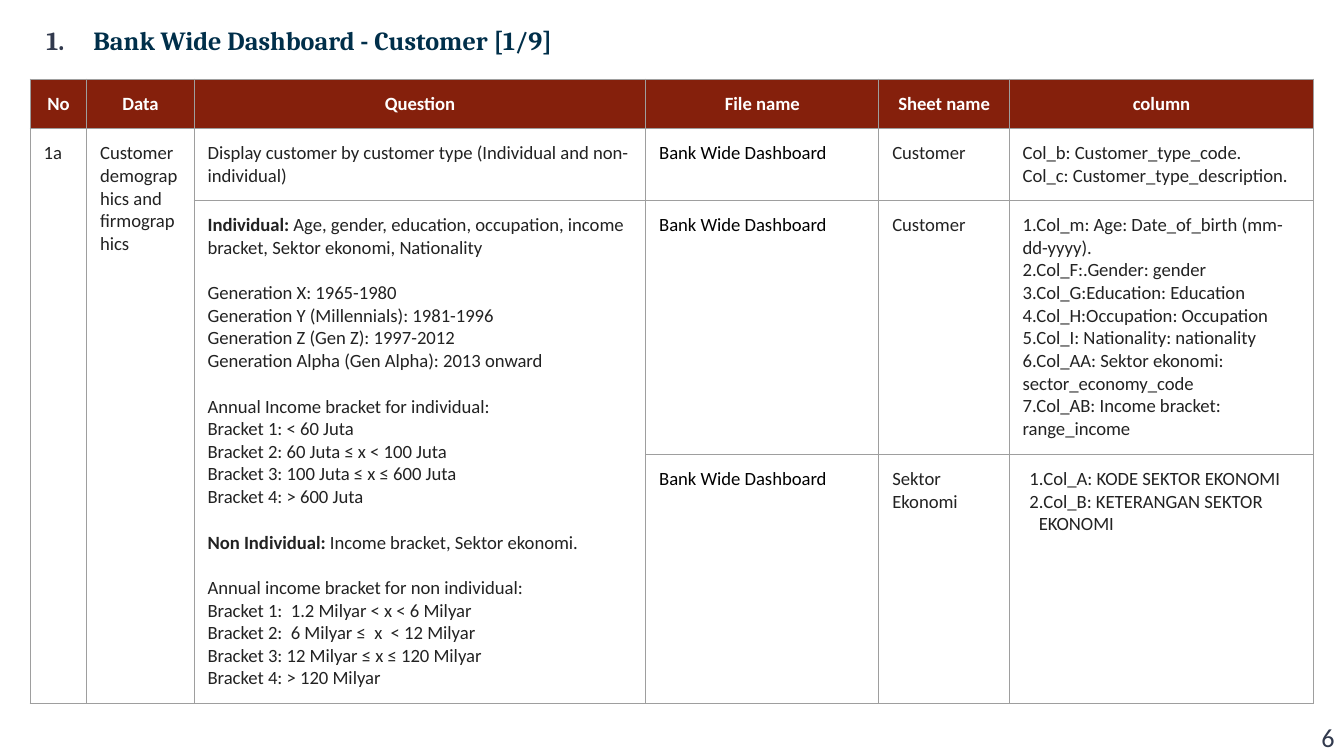
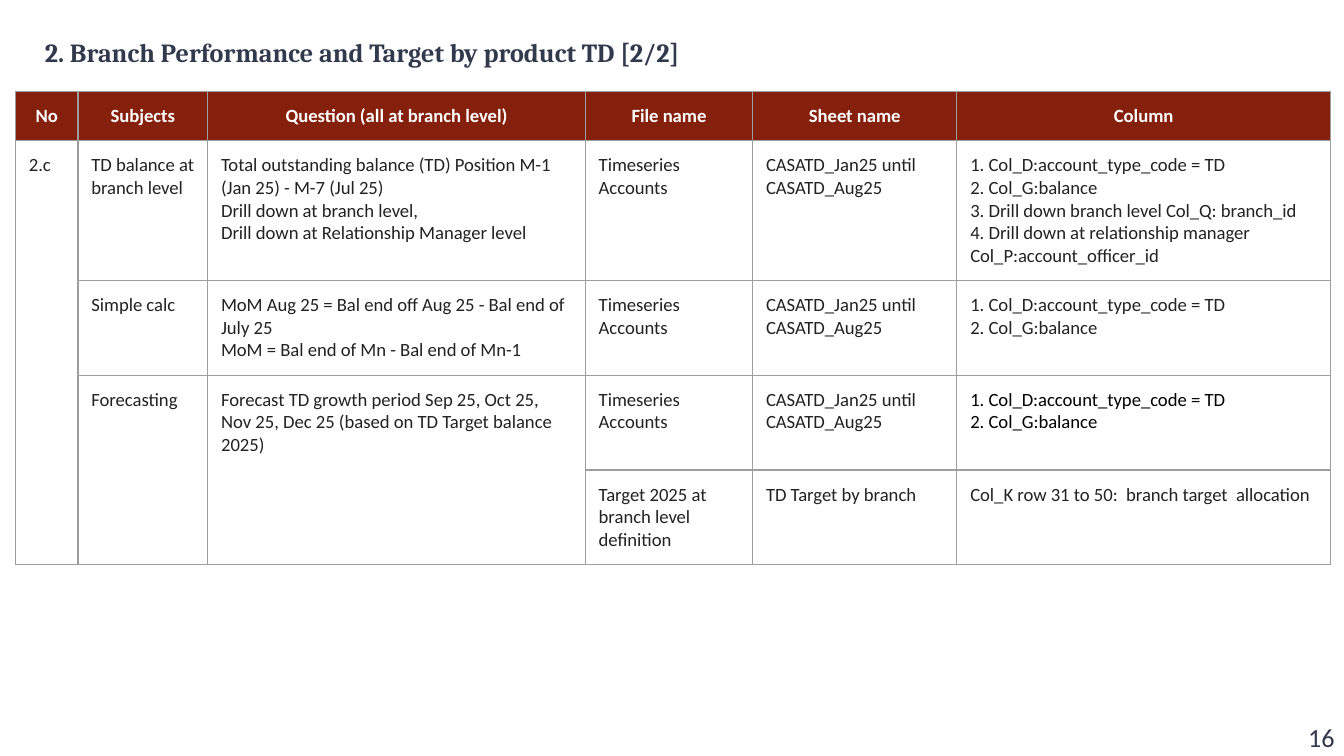
from lxml import etree
from pptx import Presentation
from pptx import util as u
from pptx.dml.color import RGBColor
from pptx.enum import text as t
from pptx.oxml import ns

COLORS = {
    "navy": "002F4A", "slate": "31394D", "header": "85200C", "white": "FFFFFF",
    "body": "222222", "black": "000000", "border": "9E9E9E",
}
GRID_COLUMNS, GRID_ROWS = 1000, 562.5
CELL = u.Inches(10) // GRID_COLUMNS
CELL_MARGIN = 10
LINE_GAP = u.Pt(12.2)

CUSTOMER_HEADERS = ["No", "Data", "Question", "File name", "Sheet name", "column"]
CUSTOMER_QUESTION = """**Individual:** Age, gender, education, occupation, income bracket, Sektor ekonomi, Nationality

Generation X: 1965-1980
Generation Y (Millennials): 1981-1996
Generation Z (Gen Z): 1997-2012
Generation Alpha (Gen Alpha): 2013 onward

Annual Income bracket for individual:
Bracket 1: < 60 Juta
Bracket 2: 60 Juta ≤ x < 100 Juta
Bracket 3: 100 Juta ≤ x ≤ 600 Juta
Bracket 4: > 600 Juta

**Non Individual:** Income bracket, Sektor ekonomi.

Annual income bracket for non individual:
Bracket 1:  1.2 Milyar < x < 6 Milyar
Bracket 2:  6 Milyar ≤  x  < 12 Milyar
Bracket 3: 12 Milyar ≤ x ≤ 120 Milyar
Bracket 4: > 120 Milyar"""
CUSTOMER_COLUMNS = """1.Col_m: Age: Date_of_birth (mm-dd-yyyy).
2.Col_F:.Gender: gender
3.Col_G:Education: Education
4.Col_H:Occupation: Occupation
5.Col_I: Nationality: nationality
6.Col_AA: Sektor ekonomi: sector_economy_code
7.Col_AB: Income bracket: range_income"""
DASHBOARD = "Bank Wide Dashboard"
# None continues the cell above it.
CUSTOMER_ROWS = [
    ["1a", "Customer demographics and firmographics",
     "Display customer by customer type (Individual and non-individual)",
     DASHBOARD, "Customer",
     "Col_b: Customer_type_code.\nCol_c: Customer_type_description."],
    [None, None, CUSTOMER_QUESTION, DASHBOARD, "Customer", CUSTOMER_COLUMNS],
    [None, None, None, DASHBOARD, "Sektor Ekonomi",
     "Col_A: KODE SEKTOR EKONOMI\nCol_B: KETERANGAN SEKTOR EKONOMI"],
]

BRANCH_HEADERS = ["No", "Subjects", "Question (all at branch level)",
                  "File name", "Sheet name", "Column"]
ACCOUNTS = ["Timeseries Accounts", "CASATD_Jan25 until CASATD_Aug25"]
TD_COLUMNS = "1. Col_D:account_type_code = TD\n2. Col_G:balance"
BRANCH_ROWS = [
    ["2.c", "TD balance at branch level",
     "Total outstanding balance (TD) Position M-1 (Jan 25) - M-7 (Jul 25)\n"
     "Drill down at branch level,\nDrill down at Relationship Manager level",
     *ACCOUNTS,
     TD_COLUMNS + "\n3. Drill down branch level Col_Q: branch_id\n"
     "4. Drill down at relationship manager Col_P:account_officer_id"],
    [None, "Simple calc",
     "MoM Aug 25 = Bal end off Aug 25 - Bal end of July 25\n"
     "MoM = Bal end of Mn - Bal end of Mn-1", *ACCOUNTS, TD_COLUMNS],
    [None, "Forecasting",
     "Forecast TD growth period Sep 25, Oct 25, Nov 25, Dec 25 "
     "(based on TD Target balance 2025)", *ACCOUNTS, TD_COLUMNS],
    [None, None, None, "Target 2025 at branch level definition",
     "TD Target by branch", "Col_K row 31 to 50:  branch target  allocation"],
]


def grid(count):
    return u.Emu(int(count * CELL))


def rgb(name):
    return RGBColor.from_string(COLORS[name])


def style_run(span, font, size, color, bold=False):
    span.font.name = font
    span.font.size = u.Pt(size)
    span.font.color.rgb = rgb(color)
    span.font.bold = bold


def number_paragraph(para, margin, indent, color):
    """Turn on automatic numbering with a hanging indent, in grid cells."""
    props = para._p.get_or_add_pPr()
    props.set("marL", str(grid(margin)))
    props.set("indent", str(grid(indent)))
    tint = etree.SubElement(props, ns.qn("a:buClr"))
    etree.SubElement(tint, ns.qn("a:srgbClr"), val=COLORS[color])
    etree.SubElement(props, ns.qn("a:buFont"), typeface="+mj-lt")
    etree.SubElement(props, ns.qn("a:buAutoNum"), type="arabicPeriod")


def add_text(slide, place, words, font, color, bold=False):
    box = slide.shapes.add_textbox(*(grid(n) for n in place))
    frame = box.text_frame
    frame.word_wrap = True
    frame.margin_left = frame.margin_right = grid(7)
    frame.margin_top = frame.margin_bottom = grid(4)
    frame.text = words
    para = frame.paragraphs[0]
    style_run(para.runs[0], font, 14, color, bold)
    return frame


def add_title(slide, place, words, color, numbered=False):
    frame = add_text(slide, place, words, "Cambria", color, bold=True)
    frame.vertical_anchor = t.MSO_ANCHOR.MIDDLE
    if numbered:
        para = frame.paragraphs[0]
        para.line_spacing = 0.9
        number_paragraph(para, 50, -35, "slate")


def add_page_number(slide, number):
    width, height = 272, 30
    place = (GRID_COLUMNS - width, GRID_ROWS - height, width, height)
    frame = add_text(slide, place, str(number), "Calibri", "slate")
    frame.paragraphs[0].alignment = t.PP_ALIGN.RIGHT


def style_cell(cell, fill):
    props = cell._tc.get_or_add_tcPr()
    for side in ("lnL", "lnR", "lnT", "lnB"):
        line = etree.SubElement(props, ns.qn("a:" + side), w=str(u.Pt(0.75)))
        paint = etree.SubElement(line, ns.qn("a:solidFill"))
        etree.SubElement(paint, ns.qn("a:srgbClr"), val=COLORS["border"])
    cell.fill.solid()
    cell.fill.fore_color.rgb = rgb(fill)
    cell.margin_left = cell.margin_right = grid(CELL_MARGIN)
    cell.margin_top = cell.margin_bottom = grid(CELL_MARGIN)


def write_cell(cell, words, color, header=False, numbered=False):
    """Write lines; an empty line opens a gap and ** surrounds bold words."""
    frame = cell.text_frame
    blocks = [block.split("\n") for block in words.split("\n\n")]
    frame.text = "\n".join(line for block in blocks for line in block)
    paras = iter(frame.paragraphs)
    for block_index, block in enumerate(blocks):
        for line_index, line in enumerate(block):
            para = next(paras)
            if block_index and not line_index:
                para.space_before = LINE_GAP
            if header:
                para.alignment = t.PP_ALIGN.CENTER
            if numbered:
                number_paragraph(para, 12, -7, color)
            para.text = ""
            for index, part in enumerate(line.split("**")):
                if part:
                    span = para.add_run()
                    span.text = part
                    style_run(span, "Calibri", 10, color, header or index % 2 == 1)


def add_grid_table(slide, corner, columns, heights, headers, rows, black, numbered=()):
    """black and numbered hold (row, column) places of cells."""
    content = [headers] + rows
    frame = slide.shapes.add_table(
        len(content), len(columns), *(grid(n) for n in corner),
        grid(sum(columns)), grid(sum(heights)))
    table = frame.table
    table.first_row = table.horz_banding = False
    for column, width in zip(table.columns, columns):
        column.width = grid(width)
    for row, height in zip(table.rows, heights):
        row.height = grid(height)

    for r, line in enumerate(content):
        for c, words in enumerate(line):
            cell = table.cell(r, c)
            style_cell(cell, "white" if r else "header")
            if words is None:
                continue
            color = "white" if r == 0 else "black" if (r, c) in black else "body"
            write_cell(cell, words, color, r == 0, (r, c) in numbered)
    for c in range(len(columns)):
        starts = [r for r, line in enumerate(content) if line[c] is not None]
        for start, end in zip(starts, starts[1:] + [len(content)]):
            if end - start > 1:
                table.cell(start, c).merge(table.cell(end - 1, c))


def add_slide(deck, number):
    slide = deck.slides.add_slide(deck.slide_layouts[6])
    add_page_number(slide, number)
    return slide


def main():
    deck = Presentation()
    deck.slide_width, deck.slide_height = grid(GRID_COLUMNS), grid(GRID_ROWS)

    customer = add_slide(deck, 6)
    add_title(customer, (12.5, 8, 944, 46), "Bank Wide Dashboard - Customer [1/9]",
              "navy", numbered=True)
    add_grid_table(customer, (22.5, 59), [42, 80, 336, 173.5, 97, 226.5],
                   [36.5, 53.5, 189, 185], CUSTOMER_HEADERS, CUSTOMER_ROWS,
                   black={(1, 3), (2, 3), (3, 3)}, numbered={(3, 5)})

    branch = add_slide(deck, 16)
    add_title(branch, (26.5, 15.5, 826, 46),
              "2. Branch Performance and Target by product TD [2/2]", "slate")
    add_grid_table(branch, (11.5, 68), [46.5, 96.5, 281, 124.5, 152, 278],
                   [36.5, 104, 70.5, 70.5, 70.5], BRANCH_HEADERS, BRANCH_ROWS,
                   black={(3, 5)})

    deck.save("out.pptx")


if __name__ == "__main__":
    main()
